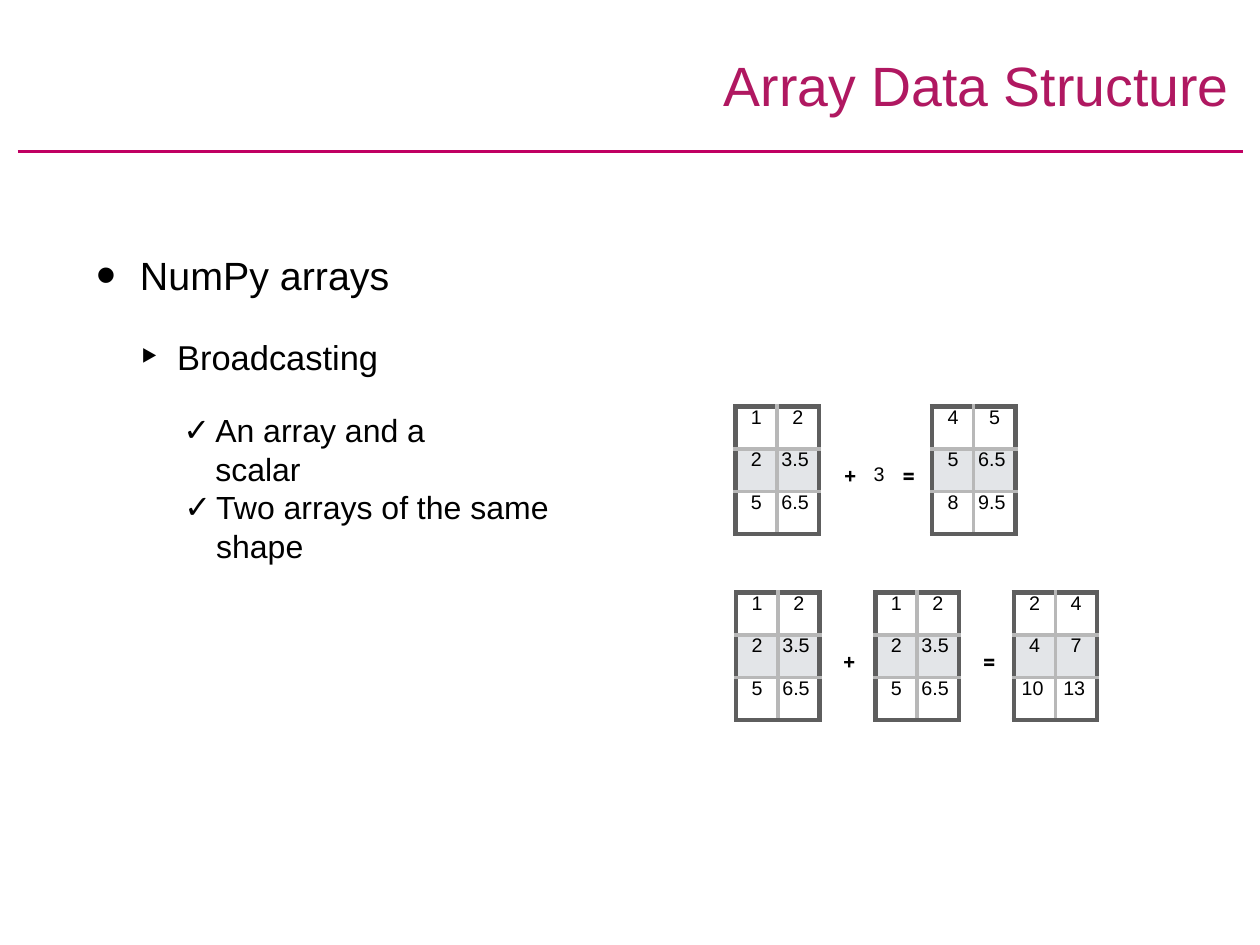
from lxml import etree
from pptx import Presentation
from pptx.dml.color import RGBColor
from pptx.enum.shapes import MSO_CONNECTOR
from pptx.enum.text import MSO_ANCHOR, MSO_AUTO_SIZE, PP_ALIGN
from pptx.oxml.ns import qn
from pptx.util import Inches, Pt

LINE = MSO_CONNECTOR.STRAIGHT
TOP = MSO_ANCHOR.TOP
FIXED = MSO_AUTO_SIZE.NONE
LEFT, CENTER = PP_ALIGN.LEFT, PP_ALIGN.CENTER

BLACK, PINK, RULE = "000000", "B01861", "C00062"
EDGE, INNER, BAND = ("5E5E5E", 4), ("B8B8B8", 3), "E3E5E8"
CELL_W, CELL_H = 0.47, 0.48
INDENTS = {2: 0.09, 3: 0.05}

BASE = [["1", "2"], ["2", "3.5"], ["5", "6.5"]]
PLUS_3 = [["4", "5"], ["5", "6.5"], ["8", "9.5"]]
DOUBLE = [["2", "4"], ["4", "7"], ["10", "13"]]
GRIDS = [
    (8.3, 4.59, BASE), (10.52, 4.59, PLUS_3),
    (8.31, 6.69, BASE), (9.88, 6.69, BASE), (11.44, 6.69, DOUBLE),
]
SIGNS = [
    ("+", 9.51, 5.22), ("=", 10.17, 5.22),
    ("+", 9.5, 7.32), ("=", 11.08, 7.32),
]
TOPICS = [
    ("NumPy arrays", 0, 32, 0, 0.5, 0.49, "•", 144),
    ("Broadcasting", 1, 28, 30.6, 0.92, 0.42, "‣", 145),
    ("An array and a scalar", 2, 26, 26.9, 1.35, 0.36, "✓", 100),
]
SHAPES = [("Two arrays of the same shape", 0, 26, 0, 0.38, 0.36, "✓", 100)]


def color(code):
    return RGBColor.from_string(code)


def style(para, size, name="Arial", tint=BLACK, bold=False):
    look = {"size": Pt(size), "name": name, "bold": bold}
    for key, value in look.items():
        setattr(para.font, key, value)
    para.font.color.rgb = color(tint)


def setup(frame):
    look = {
        "margin_left": 0, "margin_top": 0, "margin_right": 0,
        "margin_bottom": 0, "word_wrap": True,
        "auto_size": FIXED, "vertical_anchor": TOP,
    }
    for key, value in look.items():
        setattr(frame, key, value)


def indent(para, left, hang=0):
    props = para._p.get_or_add_pPr()
    props.set("marL", str(Inches(left)))
    props.set("indent", str(-Inches(hang)))
    return props


def add_box(slide, x, y, w, h):
    box = slide.shapes.add_textbox(Inches(x), Inches(y), Inches(w), Inches(h))
    setup(box.text_frame)
    return box.text_frame


def add_label(slide, text, x, y, w, h, size, **look):
    para = add_box(slide, x, y, w, h).paragraphs[0]
    para.text = text
    indent(para, 0.01)
    style(para, size, **look)


def add_list(slide, x, y, w, h, items):
    frame = add_box(slide, x, y, w, h)
    for i, (text, level, size, gap, left, hang, mark, scale) in enumerate(items):
        para = frame.add_paragraph() if i else frame.paragraphs[0]
        para.text = text
        para.level = level
        props = indent(para, left, hang)
        etree.SubElement(props, qn("a:buSzPct"), val=str(scale * 1000))
        etree.SubElement(props, qn("a:buFont"), typeface="Arial")
        etree.SubElement(props, qn("a:buChar"), char=mark)
        tabs = etree.SubElement(props, qn("a:tabLst"))
        etree.SubElement(tabs, qn("a:tab"), pos=str(Inches(left)), algn="l")
        if gap:
            para.space_before = Pt(gap)
        style(para, size)


def add_title(slide, text):
    title = slide.shapes.title
    place = {"left": 0.33, "top": 0.58, "width": 13.56, "height": 0.63}
    for key, value in place.items():
        setattr(title, key, Inches(value))
    setup(title.text_frame)
    para = title.text_frame.paragraphs[0]
    para.text = text
    para.alignment = LEFT
    indent(para, 7.84)
    style(para, 45, tint=PINK)


def add_rule(slide, x, y, end):
    rule = slide.shapes.add_connector(
        LINE, Inches(x), Inches(y), Inches(end), Inches(y))
    rule.line.color.rgb = color(RULE)
    rule.line.width = Pt(3)
    etree.SubElement(rule._element.spPr, qn("a:effectLst"))


def add_edge(cell, side, look):
    tint, width = look
    edge = etree.SubElement(
        cell._tc.get_or_add_tcPr(), qn("a:ln" + side), w=str(Pt(width)))
    fill = etree.SubElement(edge, qn("a:solidFill"))
    etree.SubElement(fill, qn("a:srgbClr"), val=tint)


def fill_cell(cell, text, row, col, rows, cols):
    for side in ("left", "top", "right", "bottom"):
        setattr(cell, "margin_" + side, 0)
    outer = {"L": col == 0, "R": col == cols - 1,
             "T": row == 0, "B": row == rows - 1}
    for side, edge in outer.items():
        add_edge(cell, side, EDGE if edge else INNER)
    if row % 2:
        cell.fill.solid()
        cell.fill.fore_color.rgb = color(BAND)
    else:
        cell.fill.background()
    para = cell.text_frame.paragraphs[0]
    para.text = text
    if len(text) in INDENTS:
        indent(para, INDENTS[len(text)])
    else:
        para.alignment = CENTER
    style(para, 16)


def add_grid(slide, x, y, data):
    rows, cols = len(data), len(data[0])
    grid = slide.shapes.add_table(
        rows, cols, Inches(x), Inches(y),
        Inches(cols * CELL_W), Inches(rows * CELL_H)).table
    grid.first_row = grid.horz_banding = False
    for r, line in enumerate(data):
        for c, text in enumerate(line):
            fill_cell(grid.cell(r, c), text, r, c, rows, cols)


def main():
    deck = Presentation()
    deck.slide_width, deck.slide_height = Inches(14.22), Inches(10.67)
    slide = deck.slides.add_slide(deck.slide_layouts[5])
    add_title(slide, "Array Data Structure")
    add_rule(slide, 0.2, 1.71, 14.03)
    add_list(slide, 1.08, 2.84, 4.77, 2.26, TOPICS)
    add_list(slide, 2.06, 5.51, 5.21, 0.4, SHAPES)
    add_label(slide, "3", 9.85, 5.21, 0.15, 0.25, 16)
    for text, x, y in SIGNS:
        add_label(slide, text, x, y, 0.18, 0.28, 18,
                  name="Noto Sans Mono", bold=True)
    for x, y, data in GRIDS:
        add_grid(slide, x, y, data)
    deck.save("out.pptx")


if __name__ == "__main__":
    main()
